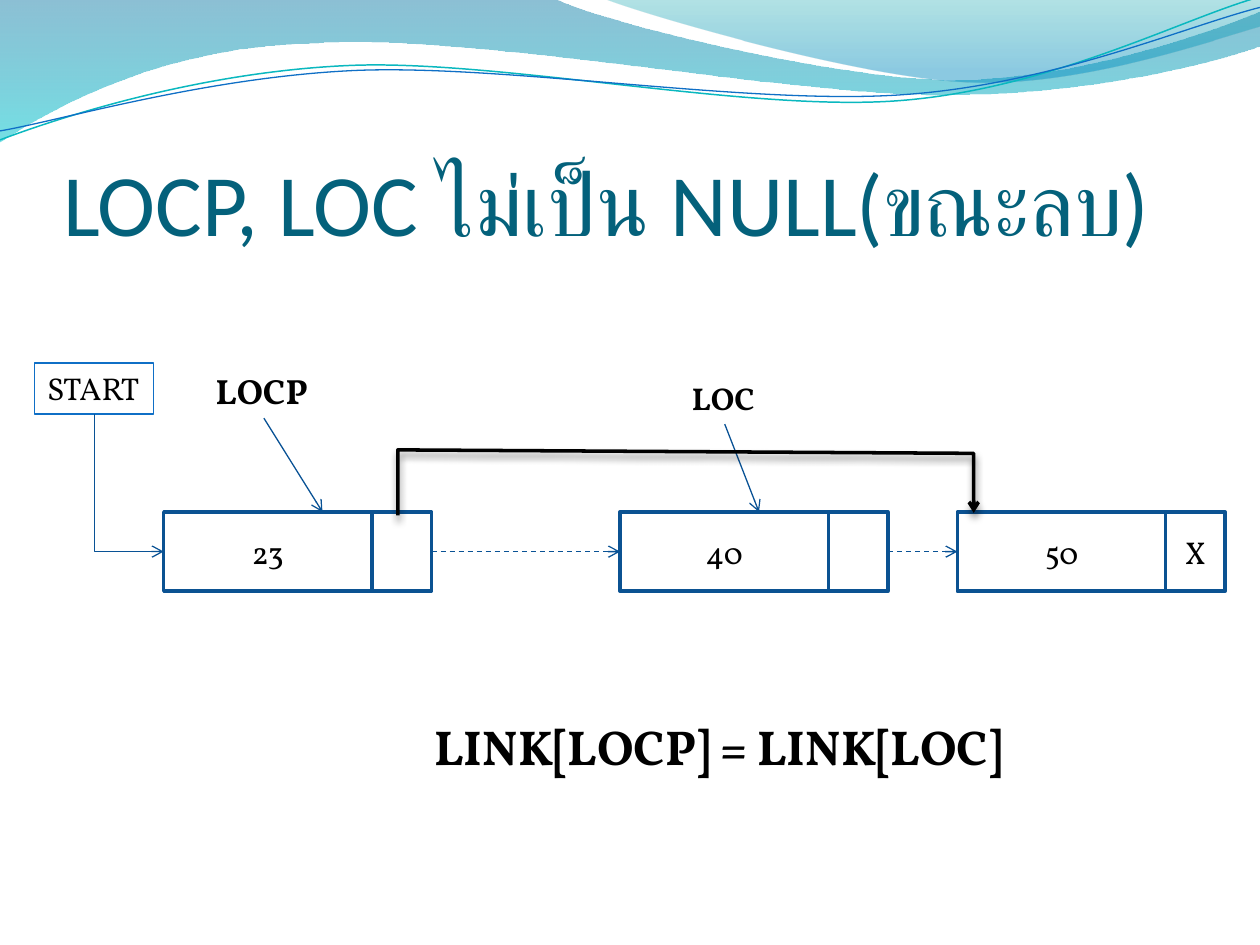
from dataclasses import dataclass
from math import cos, radians, sin

from lxml.etree import SubElement
from pptx import Presentation
from pptx.dml.color import RGBColor
from pptx.enum.dml import MSO_LINE
from pptx.enum.shapes import MSO_CONNECTOR as CONNECTOR, MSO_SHAPE as SHAPE
from pptx.enum.text import MSO_ANCHOR as ANCHOR, MSO_AUTO_SIZE as AUTOSIZE, PP_ALIGN as ALIGN
from pptx.oxml.ns import qn
from pptx.util import Cm, Pt


@dataclass(frozen=True)
class Theme:
    title: str = "04617B"
    ink: str = "000000"
    paper: str = "FFFFFF"
    cell_line: str = "0B5292"
    arrow: str = "095295"
    start_line: str = "0F6FC6"
    title_font: str = "Calibri"
    body_font: str = "Vollkorn"
    title_size: int = 50
    formula_size: int = 28
    pointer_size: int = 20
    body_size: int = 18
    thin: float = 0.75
    thick: float = 2


THEME = Theme()

TITLE = "LOCP, LOC ไม่เป็น NULL(ขณะลบ)"
NODES = [(3.3, "23", ""), (12.5, "40", ""), (19.3, "50", "X")]
NODE_TOP, NODE_HEIGHT, DATA_WIDTH, LINK_WIDTH = 10.32, 1.6, 4.2, 1.2
START_BOX = (0.7, 7.32, 2.4, 1.03)
LABELS = [
    ("LOC", (13.7, 7.52, 1.83, 1.03), THEME.body_size),
    ("LOCP", (4.1, 7.32, 2.44, 1.11), THEME.pointer_size),
    ("LINK[LOCP] = LINK[LOC]", (8.51, 14.32, 12.6, 1.45), THEME.formula_size),
]
POINTERS = [((5.32, 8.43), (6.5, NODE_TOP)), ((14.61, 8.55), (15.3, NODE_TOP))]
BYPASS = [(8.02, 10.39), (8.02, 9.07), (19.63, 9.14), (19.63, 10.34)]

WAVE_FILLS = [
    ((0, 0), [
        [(11.18, -0.03)],
        [(12.09, 0.43), (16.87, 1.6), (19.25, 1.6)],
        [(21.67, 1.6), (24.33, 0.66), (25.4, 0.23)],
        [(25.43, 0.91)],
        [(24.97, 1.12), (22.1, 1.93), (18.95, 1.91)],
        [(15.8, 1.91), (9.7, 0.71), (6.53, 0.86)],
        [(3.28, 0.91), (1.17, 2.11), (-0.03, 2.87)],
    ], [(0, "0074A1", 45), (1, "00C6CF", 55)]),
    ((12.17, -0.03), [
        [(12.93, 0.28), (17.32, 1.57), (19.53, 1.65)],
        [(21.74, 1.75), (24.41, 0.81), (25.4, 0.53)],
        [(25.4, 0)],
    ], [(0, "00A1A9", 30), (0.8, "008BBF", 45)]),
]
WAVE_TILT = -2.7
WAVE_LINES = [
    ((0, 2.82), [
        [(1.22, 2.36), (4.01, 1.45), (7.04, 1.32)],
        [(10.03, 1.19), (15.06, 2.26), (18.11, 2.03)],
        [(21.16, 1.8), (23.83, 0.38), (25.35, -0.05)],
    ], "0AB8BF", 0.85, (12.67, 1.46)),
    ((0, 2.64), [
        [(1.19, 2.44), (4.17, 1.55), (7.19, 1.42)],
        [(10.24, 1.3), (15.16, 2.13), (18.21, 1.91)],
        [(21.23, 1.7), (23.9, 0.53), (25.4, 0.15)],
    ], "0F6FC6", 0.75, (12.69, 1.5)),
]


def rgb(code):
    return RGBColor.from_string(code)


def turn(point, pivot, degrees):
    angle = radians(degrees)
    x, y = point[0] - pivot[0], point[1] - pivot[1]
    return (pivot[0] + x * cos(angle) - y * sin(angle), pivot[1] + x * sin(angle) + y * cos(angle))


def outline(shape, color, width):
    shape.line.color.rgb = rgb(color)
    shape.line.width = Pt(width)


def add_path(shapes, start, segments, close):
    builder = shapes.build_freeform(Cm(start[0]), Cm(start[1]))
    builder.add_line_segments([(Cm(x), Cm(y)) for part in segments for x, y in part], close=close)
    shape = builder.convert_to_shape()
    shape.shadow.inherit = False
    corners = iter(list(shape._element.spPr.iter(qn("a:lnTo"))))
    for part in segments:
        steps = [next(corners) for _ in part]
        if len(steps) == 3:
            steps[0].tag = qn("a:cubicBezTo")
            for step in steps[1:]:
                steps[0].append(step[0])
                step.getparent().remove(step)
    return shape


def add_arrowhead(line):
    SubElement(line.line._get_or_add_ln(), qn("a:tailEnd"), type="arrow")


def write(frame, text, size, color=THEME.ink, font=THEME.body_font, bold=False, align=ALIGN.LEFT):
    paragraph = frame.paragraphs[0]
    paragraph.alignment = align
    run = paragraph.add_run()
    run.text = text
    run.font.name, run.font.size, run.font.bold = font, Pt(size), bold
    run.font.color.rgb = rgb(color)


def add_waves(slide):
    for start, segments, stops in WAVE_FILLS:
        wave = add_path(slide.shapes, start, segments, True)
        wave.line.fill.background()
        wave.fill.gradient()
        wave.fill.gradient_angle = 270
        for stop, (position, color, _) in zip(wave.fill.gradient_stops, stops):
            stop.position = position
            stop.color.rgb = rgb(color)
        for node, (_, _, opacity) in zip(wave._element.spPr.iter(qn("a:srgbClr")), stops):
            SubElement(node, qn("a:alpha"), val=str(opacity * 1000))
    group = slide.shapes.add_group_shape()
    for start, segments, color, width, pivot in WAVE_LINES:
        level = [[turn(point, pivot, -WAVE_TILT) for point in part] for part in segments]
        wave = add_path(group.shapes, turn(start, pivot, -WAVE_TILT), level, False)
        wave.rotation = WAVE_TILT
        wave.fill.background()
        outline(wave, color, width)


def add_title(slide):
    title = slide.shapes.title
    title.left, title.top, title.width, title.height = Cm(1.27), Cm(1.95), Cm(22.86), Cm(3.17)
    frame = title.text_frame
    frame.auto_size, frame.vertical_anchor = AUTOSIZE.NONE, ANCHOR.BOTTOM
    frame.margin_left = frame.margin_right = frame.margin_bottom = 0
    write(frame, TITLE, THEME.title_size, THEME.title, THEME.title_font)


def add_cell(slide, left, width, text):
    cell = slide.shapes.add_shape(SHAPE.RECTANGLE, Cm(left), Cm(NODE_TOP), Cm(width), Cm(NODE_HEIGHT))
    cell.shadow.inherit = False
    cell.fill.solid()
    cell.fill.fore_color.rgb = rgb(THEME.paper)
    outline(cell, THEME.cell_line, THEME.thick)
    if text:
        cell.text_frame.vertical_anchor = ANCHOR.MIDDLE
        write(cell.text_frame, text, THEME.body_size, align=ALIGN.CENTER)


def fit_text(shape, text, size, bold):
    frame = shape.text_frame
    frame.word_wrap, frame.auto_size, frame.vertical_anchor = False, AUTOSIZE.SHAPE_TO_FIT_TEXT, ANCHOR.TOP
    write(frame, text, size, bold=bold)


def add_start(slide):
    start = slide.shapes.add_shape(SHAPE.RECTANGLE, *map(Cm, START_BOX))
    start.shadow.inherit = False
    start.fill.background()
    outline(start, THEME.start_line, THEME.thin)
    fit_text(start, "START", THEME.body_size, False)


def add_arrow(slide, begin, end, kind=CONNECTOR.STRAIGHT, dashed=False):
    arrow = slide.shapes.add_connector(kind, *map(Cm, (*begin, *end)))
    outline(arrow, THEME.arrow, THEME.thin)
    if dashed:
        arrow.line.dash_style = MSO_LINE.DASH
    add_arrowhead(arrow)
    SubElement(arrow._element.spPr, qn("a:effectLst"))
    return arrow


def add_start_elbow(slide, begin, end):
    center_x, center_y = (begin[0] + end[0]) / 2, (begin[1] + end[1]) / 2
    half_w, half_h = (end[1] - begin[1]) / 2, (end[0] - begin[0]) / 2
    elbow = add_arrow(slide, (center_x + half_w, center_y - half_h),
                      (center_x - half_w, center_y + half_h), CONNECTOR.ELBOW)
    properties = elbow._element.spPr
    properties.find(qn("a:xfrm")).set("rot", str(270 * 60000))
    properties.find(qn("a:prstGeom")).set("prst", "bentConnector2")


def add_bypass(slide):
    bypass = add_path(slide.shapes, BYPASS[0], [[point] for point in BYPASS[1:]], False)
    bypass.fill.background()
    outline(bypass, THEME.ink, THEME.thick)
    add_arrowhead(bypass)
    shadow = SubElement(bypass._element.spPr.find(qn("a:effectLst")), qn("a:outerShdw"),
                        blurRad=str(Pt(4.5)), dist=str(Pt(3)), dir="5400000", rotWithShape="0")
    SubElement(SubElement(shadow, qn("a:srgbClr"), val=THEME.ink), qn("a:alpha"), val="48000")


def main():
    deck = Presentation()
    deck.slide_width, deck.slide_height = Cm(25.4), Cm(19.05)
    slide = deck.slides.add_slide(deck.slide_layouts[5])
    add_waves(slide)
    add_title(slide)
    add_start(slide)
    for left, value, link in NODES:
        add_cell(slide, left, DATA_WIDTH, value)
        add_cell(slide, left + DATA_WIDTH, LINK_WIDTH, link)

    middle = NODE_TOP + NODE_HEIGHT / 2
    x, y, width, height = START_BOX
    add_start_elbow(slide, (x + width / 2, y + height), (NODES[0][0], middle))
    for (left, *_), (following, *_) in zip(NODES, NODES[1:]):
        add_arrow(slide, (left + DATA_WIDTH + LINK_WIDTH, middle), (following, middle), dashed=True)
    for text, box, size in LABELS:
        fit_text(slide.shapes.add_textbox(*map(Cm, box)), text, size, True)
    for begin, end in POINTERS:
        add_arrow(slide, begin, end)
    add_bypass(slide)
    deck.save("out.pptx")


if __name__ == "__main__":
    main()
